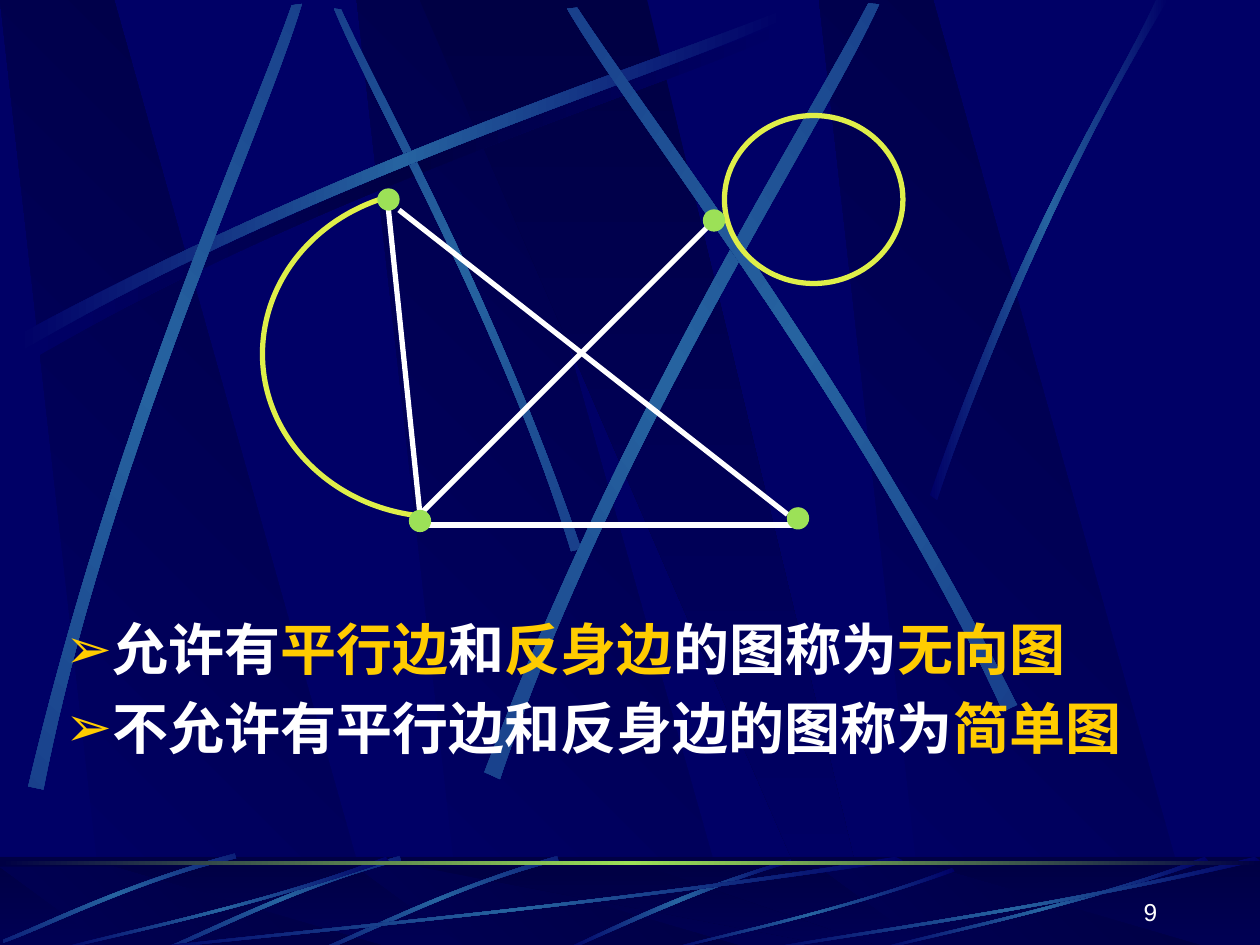
"""Build a slide that defines undirected and simple graphs over a drawn graph."""
from dataclasses import dataclass

from lxml.etree import SubElement
from pptx import Presentation
from pptx.dml.color import RGBColor as Rgb
from pptx.enum.shapes import MSO_CONNECTOR as Link, MSO_SHAPE as Form
from pptx.enum.text import MSO_ANCHOR as Anchor, PP_ALIGN as Align
from pptx.oxml.ns import qn
from pptx.util import Pt


@dataclass(frozen=True)
class Theme:
    """Hold the colours, type sizes and fonts."""
    base: str = "000066"
    deep: str = "000044"
    half: str = "133283"
    beam: str = "2663A0"
    node: str = "9CE157"
    loop: str = "DFEF49"
    text: str = "FFFFFF"
    mark: str = "FFCC00"
    body: int = 32
    page: int = 14
    cjk: str = "Noto Sans CJK SC"
    latin: str = "Arial"


T = Theme()
DARK = (T.base, T.deep)
RISE = (T.deep, T.base)
GLOW = (T.base, T.beam, T.base)
SOFT = (T.half, T.beam, T.half)
SHADE = (T.base, T.deep, T.base)

SLAB = [(0.28, 1), (1, 1), (0.3, 0), (0, 0)]
FAN = [(0, 0), (0.9, 1), (1, 1), (0.5, 0)]
BEAM = [(0, 0.96), (0.43, 0.43), (0.83, 0.15), (0.99, 0),
        (1, 0.02), (0.84, 0.19), (0.38, 0.5), (0.01, 1)]
BACK = [(1 - x, y) for x, y in BEAM]
RAY = [(0, 0.99), (0.4, 0.44), (0.79, 0.17), (0.95, 0),
       (1, 0), (0.52, 0.37), (0.16, 0.81), (0.03, 1)]
CURL = [(1, 0), (0.49, 0.37), (0.16, 0.82), (0, 0.99),
        (0.02, 1), (0.23, 0.77), (0.68, 0.25), (1, 0.04)]
SWEEP = [(1, 0.04), (0.57, 0.57), (0.17, 0.85), (0.01, 1),
         (0, 0.99), (0.17, 0.81), (0.62, 0.51), (0.99, 0)]

HIGH = [
    (BEAM, (14.4, 13, 437.8, 192.2), 0, SHADE),
    (BACK, (101.5, 97.2, 318.2, 126), 45, SOFT),
    (BEAM, (10, 7.2, 437.8, 192.2), 0, GLOW),
    (BEAM, (-123.1, 131, 437.8, 192.2), 311.7, SOFT),
    (BEAM, (166.3, 115.2, 449.3, 216.7), 321.6, SOFT),
    (BACK, (232.6, 109.4, 437.8, 192.2), 34.7, SOFT),
    (RAY, (531.4, 0, 136, 285.8), 0, GLOW),
]
LOW = [
    (CURL, (322.5, 491, 129.6, 52), 0, GLOW),
    (BACK, (185.8, 486.7, 132.5, 59.8), 315, GLOW),
    (BACK, (95.8, 486.7, 132.5, 59.8), 315, GLOW),
    (BACK, (3.6, 483.1, 129.6, 61.2), 315, GLOW),
    (SWEEP, (72, 489.6, 444.2, 54), 0, GLOW),
    (SWEEP, (30.2, 489.6, 192.2, 54), 0, GLOW),
    (SWEEP, (379.4, 496, 166.3, 47.5), 0, GLOW),
    (SWEEP, (498.2, 489.6, 192.2, 54), 0, GLOW),
    (SWEEP, (432, 489.6, 288, 54), 0, GLOW),
]
ARC = [(217.4, 113.8), (177, 127.4), (150, 162.7), (150, 202.3),
       (150, 248.4), (187.2, 288), (237.6, 294.5)]
EDGES = [(222, 120, 240, 294), (456, 300, 240, 300),
         (228, 120, 450, 294), (408, 126, 240, 294)]
NODES = [(222, 114), (240, 297.7), (408, 126), (456, 296.2)]
LINES = [
    [("允许有", T.text), ("平行边", T.mark), ("和", T.text), ("反身边", T.mark),
     ("的图称为", T.text), ("无向图", T.mark)],
    [("不允许有平行边和反身边的图称为", T.text), ("简单图", T.mark)],
]


def dress(item, vals):
    """Set every named attribute on the item."""
    for key, val in vals.items():
        setattr(item, key, val)


def blend(shape, tones, turn=0):
    """Fill a shape with evenly spaced tones, turned clockwise."""
    props = shape._element.spPr
    grad = props.makeelement(qn("a:gradFill"), {"rotWithShape": "1"})
    stops = SubElement(grad, qn("a:gsLst"))
    for i, tone in enumerate(tones):
        stop = SubElement(stops, qn("a:gs"), pos=str(100000 * i // (len(tones) - 1)))
        SubElement(stop, qn("a:srgbClr"), val=tone)
    SubElement(grad, qn("a:lin"), ang=str(turn * 60000), scaled="0")
    props.insert(2, grad)


def flat(shape, tone):
    """Fill a shape with one tone."""
    shape.fill.solid()
    shape.fill.fore_color.rgb = Rgb.from_string(tone)


def stroke(line, tone, width):
    """Give a line its tone and width."""
    line.color.rgb = Rgb.from_string(tone)
    line.width = Pt(width)


def trace(board, spots, close=True):
    """Draw a plain outline through points."""
    spots = [(Pt(x), Pt(y)) for x, y in spots]
    pen = board.shapes.build_freeform(*spots[0], scale=1.0)
    pen.add_line_segments(spots[1:], close=close)
    shape = pen.convert_to_shape()
    shape.shadow.inherit = False
    return shape


def bend(shape, starts):
    """Turn three segments from each start into one cubic curve."""
    legs = list(shape._element.iter(qn("a:lnTo")))
    for i in starts:
        first, *rest = legs[i:i + 3]
        cubic = first.makeelement(qn("a:cubicBezTo"), {})
        first.addprevious(cubic)
        for leg in (first, *rest):
            cubic.append(leg[0])
            leg.getparent().remove(leg)


def panel(board, unit, box, tones, turn):
    """Draw a shaded outline scaled from unit points to a box."""
    x, y, w, h = box
    shape = trace(board, [(x + u * w, y + v * h) for u, v in unit])
    shape.line.fill.background()
    blend(shape, tones, turn)
    return shape


def streak(board, unit, box, turn, tones):
    """Draw a curved light streak."""
    shape = panel(board, unit, box, tones, 0)
    bend(shape, (0, 4))
    shape.rotation = turn


def block(board, form, box):
    """Add a preset shape without line or shadow."""
    shape = board.shapes.add_shape(form, *map(Pt, box))
    shape.shadow.inherit = False
    shape.line.fill.background()
    return shape


def slabs(board, top, tall):
    """Draw the row of slanted background panels."""
    for x in (203.8, 0, 468):
        panel(board, SLAB, (x, top, 217.4, tall), DARK, 315)
    panel(board, FAN, (239.8, top, 260, tall), RISE, 90)


def scene(slide, master):
    """Draw the backdrop and its floor as one group on the master."""
    flat(master.background, T.base)
    board = slide.shapes.add_group_shape()
    slabs(board, 0, 540)
    for item in HIGH:
        streak(board, *item)
    floor = (0, 489.6, 720, 50.4)
    blend(block(board, Form.RECTANGLE, floor), RISE, 90)
    slabs(board, 495.4, 44.6)
    veil = block(board, Form.RECTANGLE, floor)
    flat(veil, T.deep)
    tone = veil._element.spPr.find(".//" + qn("a:srgbClr"))
    SubElement(tone, qn("a:alpha"), val="50000")
    for item in LOW:
        streak(board, *item)
    rule = block(board, Form.RECTANGLE, (0, 492.2, 720, 2))
    blend(rule, (T.deep, T.node, T.deep))
    master.shapes._spTree.insert(2, board._element)


def loops(slide):
    """Draw the parallel edge and return the self loop after it."""
    arc = trace(slide, ARC, close=False)
    bend(arc, (0, 3))
    body = slide.placeholders[1]._element
    body.getparent().append(body)
    loop = block(slide, Form.OVAL, (414, 66, 102, 96))
    for shape in (arc, loop):
        shape.fill.background()
        stroke(shape.line, T.loop, 3)


def graph(slide):
    """Draw the straight edges and the nodes as one group."""
    board = slide.shapes.add_group_shape()
    for ends in EDGES:
        edge = board.shapes.add_connector(Link.STRAIGHT, *map(Pt, ends))
        stroke(edge.line, T.text, 3)
        SubElement(edge._element.spPr, qn("a:effectLst"))
    for x, y in NODES:
        dot = block(board, Form.OVAL, (x - 6, y - 6, 12, 12))
        flat(dot, T.node)
        stroke(dot.line, T.node, 0.75)


def write(para, text, tone, size, face):
    """Add one run of text in its format."""
    run = para.add_run()
    run.text = text
    dress(run.font, {"size": Pt(size), "name": face, "bold": face == T.cjk})
    run.font.color.rgb = Rgb.from_string(tone)
    SubElement(run.font._element, qn("a:ea"), typeface=face)


def bullet(para):
    """Give a paragraph its arrow bullet and hanging indent."""
    props = para._p.get_or_add_pPr()
    for key, val in {"marL": 27, "indent": -27}.items():
        props.set(key, str(Pt(val)))
    SubElement(SubElement(props, qn("a:buClr")), qn("a:srgbClr"), val=T.mark)
    SubElement(props, qn("a:buFont"), typeface=T.latin)
    SubElement(props, qn("a:buChar"), char="➢")


def terms(slide):
    """Write the two definitions in the body placeholder."""
    body = slide.placeholders[1]
    dress(body, {"left": Pt(30), "top": Pt(348), "width": Pt(690), "height": Pt(90)})
    frame = body.text_frame
    frame.word_wrap = True
    for i, parts in enumerate(LINES):
        para = frame.add_paragraph() if i else frame.paragraphs[0]
        bullet(para)
        dress(para, {"space_before": Pt(6.4 * i), "line_spacing": Pt(38.2)})
        for text, tone in parts:
            write(para, text, tone, T.body, T.cjk)


def number(slide):
    """Write the page number."""
    frame = slide.shapes.add_textbox(*map(Pt, (518.4, 496.8, 150, 36))).text_frame
    dress(frame, {"word_wrap": True, "vertical_anchor": Anchor.BOTTOM})
    para = frame.paragraphs[0]
    para.alignment = Align.RIGHT
    write(para, "9", T.text, T.page, T.latin)


def main():
    """Build and save the slide."""
    deck = Presentation()
    dress(deck, {"slide_width": Pt(720), "slide_height": Pt(540)})
    slide = deck.slides.add_slide(deck.slide_layouts[1])
    title = slide.shapes.title._element
    title.getparent().remove(title)
    scene(slide, deck.slide_master)
    loops(slide)
    terms(slide)
    graph(slide)
    number(slide)
    deck.save("out.pptx")


if __name__ == "__main__":
    main()
